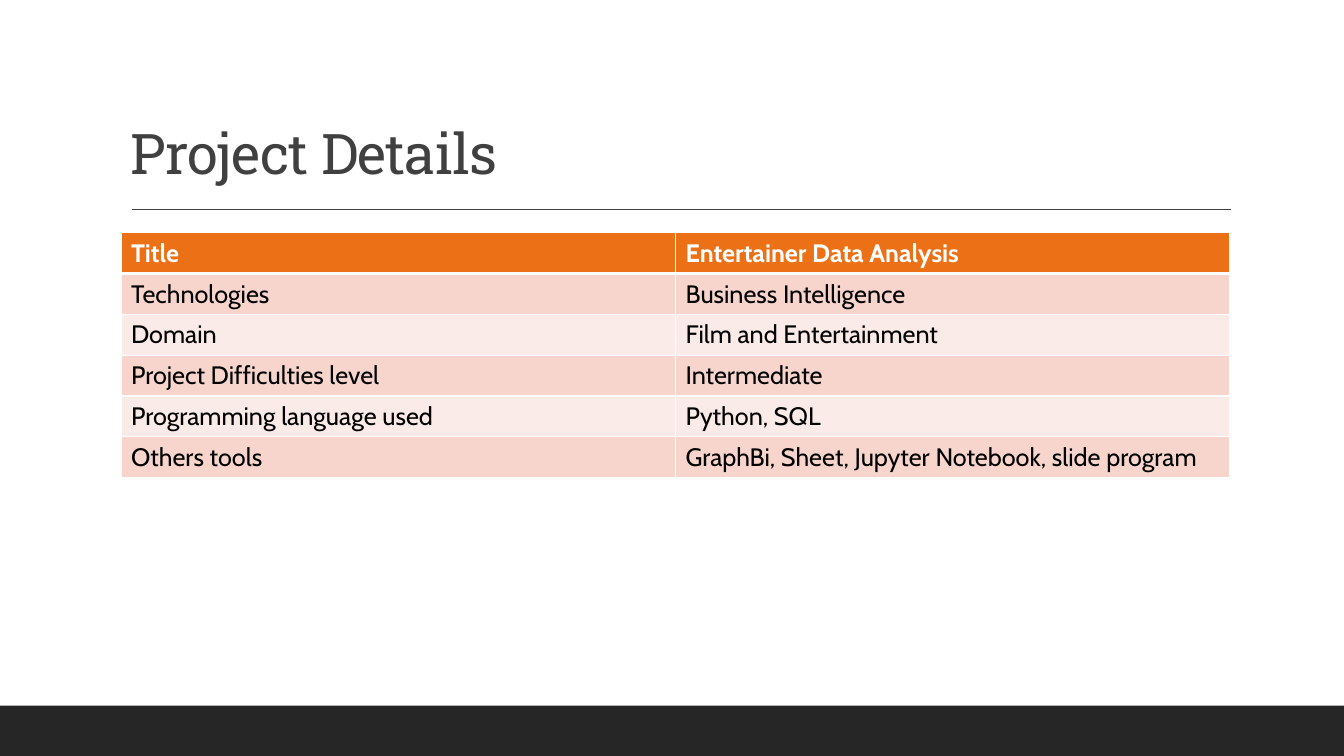
from dataclasses import dataclass

from lxml.etree import SubElement
from pptx import Presentation
from pptx.dml.color import RGBColor
from pptx.enum.shapes import MSO_CONNECTOR as CONNECTOR, MSO_SHAPE as SHAPE
from pptx.enum.text import MSO_ANCHOR as ANCHOR
from pptx.oxml.ns import qn
from pptx.util import Inches, Pt

TITLE = "Project Details"
ROWS = [
    ("Title", "Entertainer Data Analysis"),
    ("Technologies", "Business Intelligence"),
    ("Domain", "Film and Entertainment"),
    ("Project Difficulties level", "Intermediate"),
    ("Programming language used", "Python, SQL"),
    ("Others tools", "GraphBi, Sheet, Jupyter Notebook, slide program"),
]


@dataclass(frozen=True)
class Theme:
    title_font: str = "Roboto Slab"
    body_font: str = "Cabin"
    title_size: int = 40
    body_size: int = 18
    ink: str = "404040"
    text: str = "000000"
    white: str = "FFFFFF"
    footer: str = "262626"
    header: str = "EC7016"
    bands: tuple = ("F8D5CC", "FBEBE8")


T = Theme()
WIDTH, HEIGHT = 13.33, 7.5
LEFT, CONTENT_WIDTH = 1.2, 11
TITLE_TOP, TITLE_HEIGHT = 0.31, 1.59
RULE_LEFT, RULE_RIGHT, RULE_Y = 1.31, 12.21, 2.08
TABLE_TOP, ROW_HEIGHT = 2.31, 0.405
FOOTER_HEIGHT = HEIGHT / 15


def rgb(color):
    return RGBColor.from_string(color)


def add_run(p, text, font, size, color, bold=False):
    r = p.add_run()
    r.text = text
    r.font.name, r.font.size, r.font.bold = font, Pt(size), bold
    r.font.color.rgb = rgb(color)
    return r


def add_footer(slide):
    sp = slide.shapes.add_shape(SHAPE.RECTANGLE, 0, Inches(HEIGHT - FOOTER_HEIGHT),
                                Inches(WIDTH), Inches(FOOTER_HEIGHT))
    sp.shadow.inherit = False
    sp.fill.solid()
    sp.fill.fore_color.rgb = rgb(T.footer)
    sp.line.fill.background()


def add_rule(slide):
    line = slide.shapes.add_connector(CONNECTOR.STRAIGHT, Inches(RULE_LEFT), Inches(RULE_Y),
                                      Inches(RULE_RIGHT), Inches(RULE_Y))
    line.line.color.rgb = rgb(T.ink)
    line.line.width = Pt(1)
    SubElement(line._element.spPr, qn("a:effectLst"))


def add_title(slide):
    sp = slide.shapes.add_textbox(Inches(LEFT), Inches(TITLE_TOP),
                                  Inches(CONTENT_WIDTH), Inches(TITLE_HEIGHT))
    tf = sp.text_frame
    tf.word_wrap = True
    tf.vertical_anchor = ANCHOR.BOTTOM
    p = tf.paragraphs[0]
    p.line_spacing = 0.9
    r = add_run(p, TITLE, T.title_font, T.title_size, T.ink)
    r.font._element.set("spc", "-50")


def set_borders(cell, widths):
    tc_pr = cell._tc.get_or_add_tcPr()
    for i, (side, width) in enumerate(widths.items()):
        ln = tc_pr.makeelement(qn(f"a:ln{side}"), {"w": str(Pt(width))})
        SubElement(SubElement(ln, qn("a:solidFill")), qn("a:srgbClr"), val=T.white)
        tc_pr.insert(i, ln)


def add_details(slide):
    columns = len(ROWS[0])
    table = slide.shapes.add_table(len(ROWS), columns, Inches(LEFT), Inches(TABLE_TOP),
                                   Inches(CONTENT_WIDTH), Inches(ROW_HEIGHT * len(ROWS))).table
    for column in table.columns:
        column.width = Inches(CONTENT_WIDTH / columns)
    for i, texts in enumerate(ROWS):
        table.rows[i].height = Inches(ROW_HEIGHT)
        head = i == 0
        fill = T.header if head else T.bands[(i - 1) % len(T.bands)]
        borders = {"L": 1, "R": 1, "T": 3 if i == 1 else 1, "B": 3 if head else 1}
        for j, text in enumerate(texts):
            cell = table.cell(i, j)
            cell.fill.solid()
            cell.fill.fore_color.rgb = rgb(fill)
            set_borders(cell, borders)
            add_run(cell.text_frame.paragraphs[0], text, T.body_font, T.body_size,
                    T.white if head else T.text, head)


def main():
    prs = Presentation()
    prs.slide_width, prs.slide_height = Inches(WIDTH), Inches(HEIGHT)
    slide = prs.slides.add_slide(prs.slide_layouts[6])
    add_footer(slide)
    add_rule(slide)
    add_title(slide)
    add_details(slide)
    prs.save("out.pptx")


if __name__ == "__main__":
    main()
